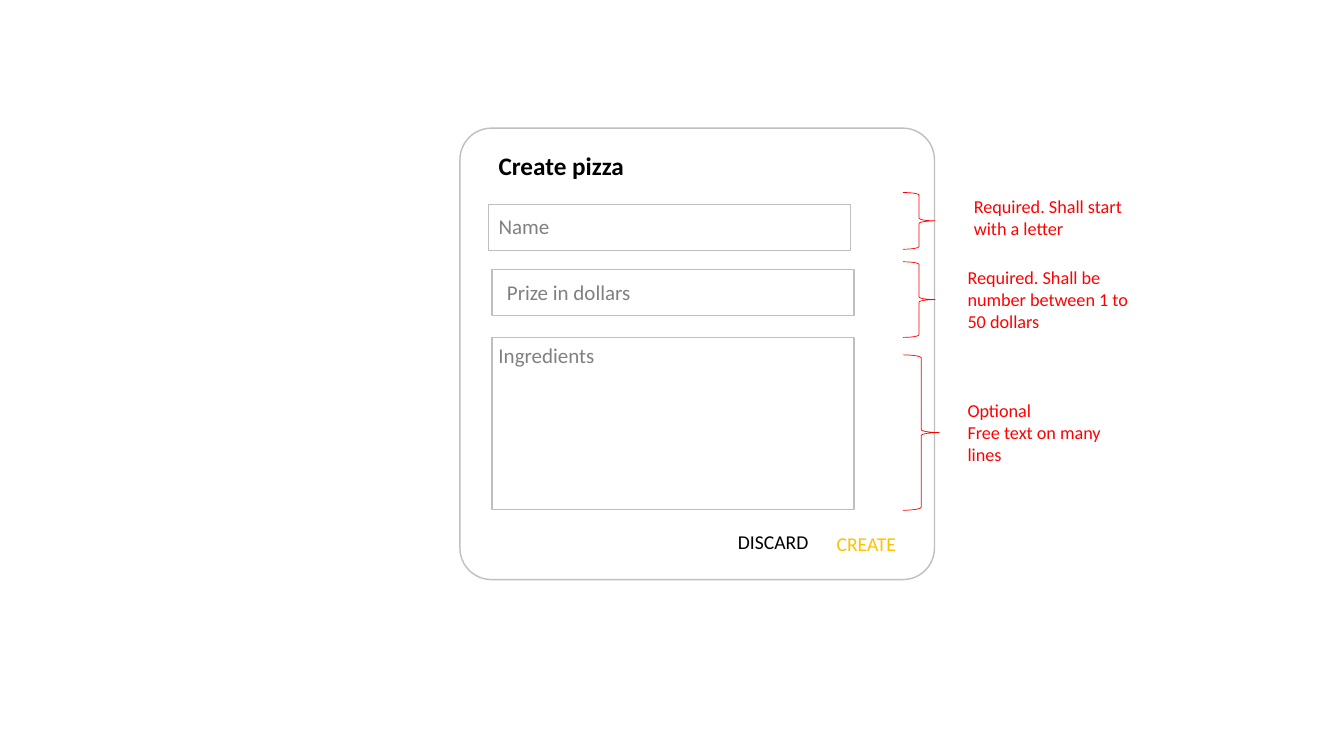
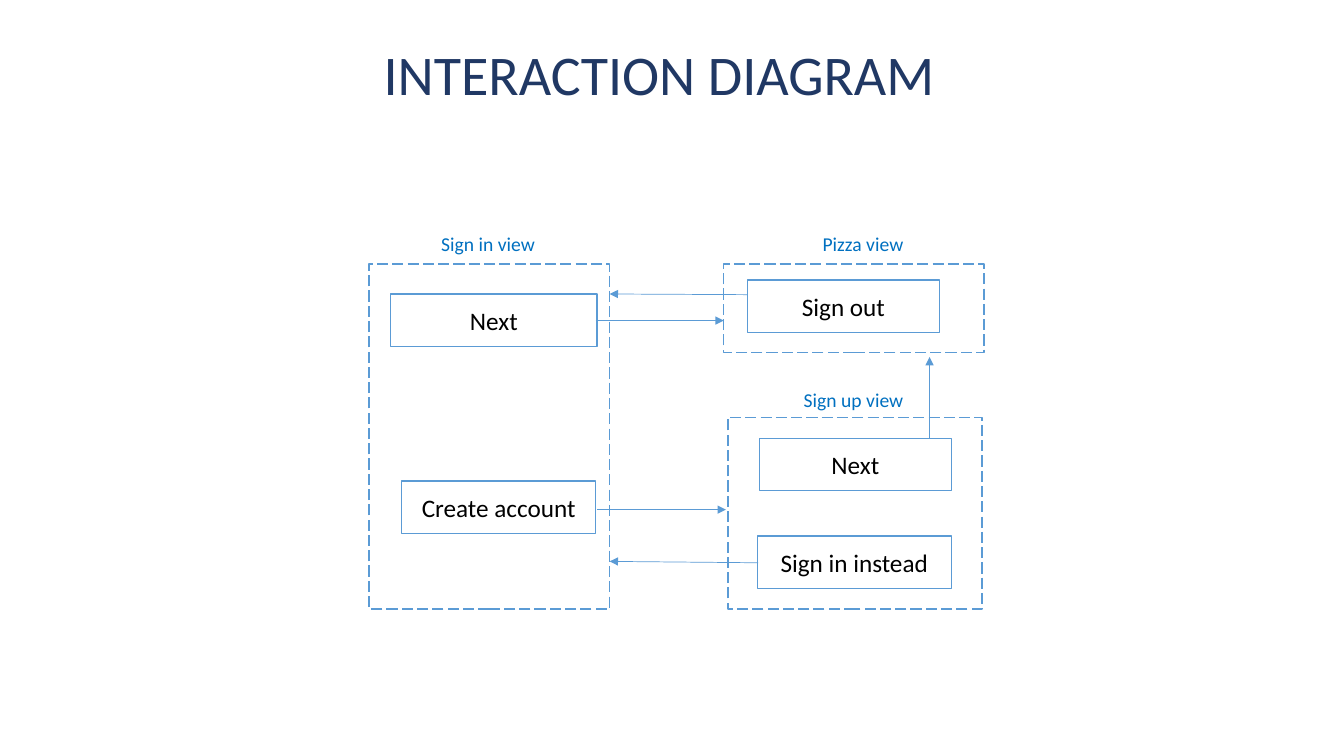
from pptx import Presentation
from pptx.dml.color import RGBColor
from pptx.enum.dml import MSO_LINE
from pptx.enum.shapes import MSO_CONNECTOR, MSO_SHAPE
from pptx.enum.text import MSO_ANCHOR, MSO_AUTO_SIZE, PP_ALIGN
from pptx.oxml.ns import qn
from pptx.util import Pt
from lxml.etree import SubElement

# Shared style
FONT = "Calibri"
WHITE, BLACK = "FFFFFF", "000000"
BORDER, HINT = "BFBFBF", "808080"
RED, AMBER = "FF0000", "FFC000"
BLUE, LABEL, NAVY = "5B9BD5", "0070C0", "203864"
FIELD_W = 258.5
BUTTON_H = 37.5
BRACE_X = 645


def rgb(color):
    return RGBColor.from_string(color)


def add_run(p, text, size, color, bold=False):
    r = p.add_run()
    r.text = text
    r.font.name = FONT
    r.font.size = Pt(size)
    r.font.bold = bold
    r.font.color.rgb = rgb(color)


def add_text(s, box, lines, size, color, bold=False, wrap=True):
    tf = s.shapes.add_textbox(*map(Pt, box)).text_frame
    tf.word_wrap = wrap
    tf.auto_size = MSO_AUTO_SIZE.SHAPE_TO_FIT_TEXT
    for i, line in enumerate(lines):
        p = tf.add_paragraph() if i else tf.paragraphs[0]
        add_run(p, line, size, color, bold)


def add_outline(s, kind, box, line, width=1, fill=None):
    sp = s.shapes.add_shape(kind, *map(Pt, box))
    sp.shadow.inherit = False
    if fill:
        sp.fill.solid()
        sp.fill.fore_color.rgb = rgb(fill)
    else:
        sp.fill.background()
    sp.line.color.rgb = rgb(line)
    sp.line.width = Pt(width)
    return sp


def add_field(s, x, y, h, hint, hint_x, hint_y, hint_w):
    add_text(s, (hint_x, hint_y, hint_w, 25), [hint], 15, HINT)
    add_outline(s, MSO_SHAPE.RECTANGLE, (x, y, FIELD_W, h), BORDER)


def add_rule(s, y, w, h, note_x, note_y, note_h, lines):
    add_outline(s, MSO_SHAPE.RIGHT_BRACE, (BRACE_X, y, w, h), RED, 0.5)
    add_text(s, (note_x, note_y, 129, note_h), lines, 13, RED)


def add_view(s, box, name, label_x, label_y, label_w):
    sp = add_outline(s, MSO_SHAPE.RECTANGLE, box, BLUE)
    sp.line.dash_style = MSO_LINE.LONG_DASH
    add_text(s, (label_x, label_y, label_w, 24.5), [name], 14, LABEL, wrap=False)


def add_button(s, x, y, w, text):
    sp = add_outline(s, MSO_SHAPE.RECTANGLE, (x, y, w, BUTTON_H), BLUE, fill=WHITE)
    tf = sp.text_frame
    tf.word_wrap = True
    tf.vertical_anchor = MSO_ANCHOR.MIDDLE
    p = tf.paragraphs[0]
    p.alignment = PP_ALIGN.CENTER
    add_run(p, text, 18, BLACK)


def add_arrow(s, *ends):
    c = s.shapes.add_connector(MSO_CONNECTOR.STRAIGHT, *map(Pt, ends))
    c.line.color.rgb = rgb(BLUE)
    c.line.width = Pt(0.5)
    SubElement(c.line._get_or_add_ln(), qn("a:tailEnd"), type="triangle")
    SubElement(c._element.spPr, qn("a:effectLst"))


def build_form(s):
    # Dialog with title and actions
    card = add_outline(s, MSO_SHAPE.ROUNDED_RECTANGLE, (328.5, 91.5, 339, 322.5),
                       BORDER, fill=WHITE)
    card.adjustments[0] = 0.07
    add_text(s, (349, 103.5, 181.5, 29), ["Create pizza"], 18, BLACK, bold=True)
    add_text(s, (590.5, 376.5, 57.5, 24.5), ["CREATE"], 14, AMBER, wrap=False)
    add_text(s, (520, 375, 65.5, 24.5), ["DISCARD"], 14, BLACK, wrap=False)

    # Input fields
    add_field(s, 349, 146, 33, "Name", 349, 149, 225.5)
    add_field(s, 351.5, 192.5, 33, "Prize in dollars", 355, 196, 225.5)
    add_field(s, 351.5, 241, 123, "Ingredients", 349, 241, 205)

    # Validation rules
    add_rule(s, 137.5, 23, 40.5, 688.5, 136, 39,
             ["Required. Shall start with a letter"])
    add_rule(s, 187, 23, 54, 684, 187, 54.5,
             ["Required. Shall be number between 1 to 50 dollars"])
    add_rule(s, 253.5, 26, 111, 684, 281.5, 54.5,
             ["Optional", "Free text on many lines"])


def build_diagram(s):
    add_text(s, (267, 25, 412.5, 55.5), ["INTERACTION DIAGRAM"], 40, NAVY, wrap=False)

    # Views
    add_view(s, (263.5, 188.5, 172, 246.5), "Sign in view", 308, 162, 82)
    add_view(s, (517, 188.5, 186, 63.5), "Pizza view", 580.5, 162, 72.5)
    add_view(s, (520, 298, 181.5, 137), "Sign up view", 567, 273.5, 86.5)

    # Buttons
    add_button(s, 279, 210, 147.5, "Next")
    add_button(s, 287, 343.5, 138.5, "Create account")
    add_button(s, 534, 200, 137, "Sign out")
    add_button(s, 542.5, 313, 137, "Next")
    add_button(s, 541, 383, 138.5, "Sign in instead")

    # Transitions
    add_arrow(s, 425.5, 229, 517, 229)
    add_arrow(s, 533.5, 210.5, 435.5, 210)
    add_arrow(s, 426.5, 364, 518.5, 364)
    add_arrow(s, 541.5, 402, 435.5, 401)
    add_arrow(s, 664, 313, 664, 255)


def main():
    prs = Presentation()
    prs.slide_width, prs.slide_height = Pt(960), Pt(540)
    for build in (build_form, build_diagram):
        build(prs.slides.add_slide(prs.slide_layouts[6]))
    prs.save("out.pptx")


main()
